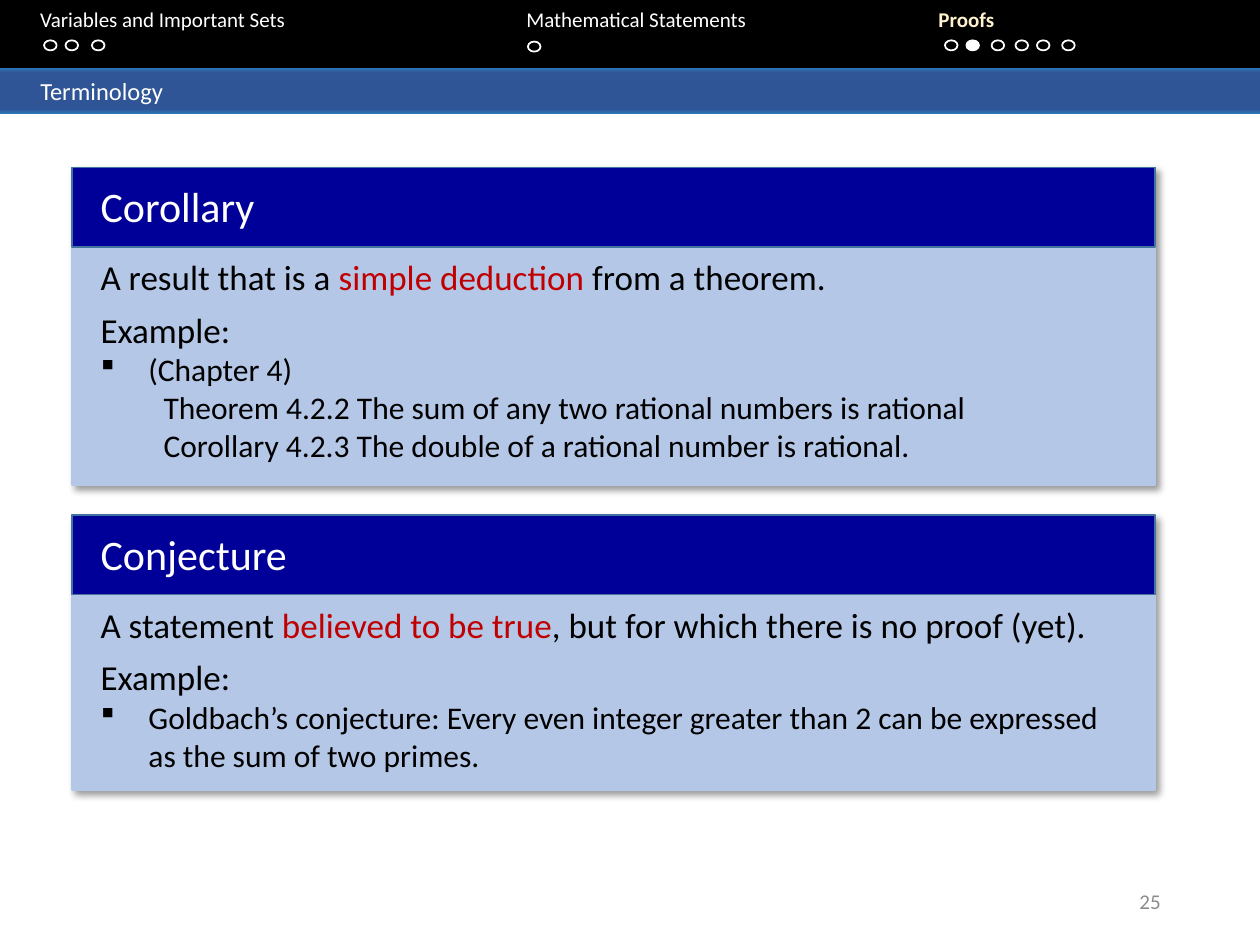
from lxml import etree
from pptx import Presentation
from pptx import util as u
from pptx.dml.color import RGBColor
from pptx.enum import shapes, text
from pptx.oxml import ns

COLS, ROWS = 100, 75
WIDTH, HEIGHT = u.Inches(10), u.Inches(7.5)
COLORS = {
    "black": "000000", "white": "FFFFFF", "cream": "FFF2CC", "red": "C00000",
    "edge": "2E75B6", "band": "2F5597", "gray": "8C8C8C",
    "panel": "B4C7E7", "heading": "000099", "outline": "43739E",
}
SECTIONS = [
    ("Variables and Important Sets", 3.2, 3.2, [3.5, 5.2, 7.3], None),
    ("Mathematical Statements", 41.8, 3.3, [41.9], None),
    ("Proofs", 74.5, 3.2, [75, 76.7, 78.7, 80.6, 82.3, 84.3], 1),
]
COROLLARY = [
    ("lead", [("A result that is a ", "black"), ("simple deduction ", "red"),
              ("from a theorem.", "black")]),
    ("label", [("Example:", "black")]),
    ("bullet", [("(Chapter 4)", "black")]),
    ("detail", [("Theorem 4.2.2 The sum of any two rational numbers is rational", "black")]),
    ("detail", [("Corollary 4.2.3 The double of a rational number is rational.", "black")]),
]
CONJECTURE = [
    ("lead", [("A statement ", "black"), ("believed to be true", "red"),
              (", but for which there is no proof (yet).", "black")]),
    ("label", [("Example:", "black")]),
    ("bullet", [("Goldbach’s conjecture: Every even integer greater than 2 can be "
                 "expressed as the sum of two primes.", "black")]),
]
STYLES = {"lead": (20, 6, 0, 0), "label": (20, 0, 0, 0),
          "bullet": (18, 0, 3.8, -3.8), "detail": (18, 0, 5, 0)}


def across(cols):
    """Turn grid columns into a length."""
    return int(WIDTH * cols / COLS)


def down(rows):
    """Turn grid rows into a length."""
    return int(HEIGHT * rows / ROWS)


def place(box):
    """Turn a grid box into left, top, width and height."""
    left, top, width, height = box
    return across(left), down(top), across(width), down(height)


def color(name):
    """Look up a named colour."""
    return RGBColor.from_string(COLORS[name])


def child(parent, tag, **attributes):
    """Append a drawing element to a parent."""
    return etree.SubElement(parent, ns.qn(tag), attributes)


def add_block(canvas, box, fill=None, line=None, kind=shapes.MSO_SHAPE.RECTANGLE):
    """Add a flat preset shape."""
    block = canvas.add_shape(kind, *place(box))
    block.shadow.inherit = False
    if fill:
        block.fill.solid()
        block.fill.fore_color.rgb = color(fill)
    else:
        block.fill.background()
    if line:
        block.line.color.rgb = color(line)
        block.line.width = u.Pt(1)
    else:
        block.line.fill.background()
    return block


def add_span(para, words, size, name, bold=False):
    """Add one formatted run."""
    span = para.add_run()
    span.text = words
    span.font.name = "Calibri"
    span.font.size = u.Pt(size)
    span.font.color.rgb = color(name)
    span.font.bold = bold


def add_text(canvas, box):
    """Add a wrapping text box and return its frame."""
    frame = canvas.add_textbox(*place(box)).text_frame
    frame.word_wrap = True
    return frame


def add_navigation(canvas, box):
    """Draw the section names and progress dots in the top bar."""
    left, top, width, height = box
    add_block(canvas, (left, top - 0.2, width, height), "black")
    frame = add_text(canvas, (left, top, width, 5))
    para = frame.paragraphs[0]
    tabs = child(para._p.get_or_add_pPr(), "a:tabLst")
    for title, start, dot_row, dots, current in SECTIONS:
        stop = across(start) - frame.margin_left
        child(tabs, "a:tab", pos=str(stop), algn="l")
        active = current is not None
        add_span(para, "\t" + title, 12, "cream" if active else "white", active)
        for index, column in enumerate(dots):
            add_block(canvas, (left + column, top + dot_row, 1, 0.8),
                      "white" if index == current else None, "white",
                      shapes.MSO_SHAPE.OVAL)


def add_title_band(canvas, box, title):
    """Draw the gradient band with the slide title."""
    band = add_block(canvas, box)
    band.fill.gradient()
    band.fill.gradient_angle = 270
    stops = band._element.spPr.find(".//" + ns.qn("a:gsLst"))
    stops.clear()
    for share, name in ((0, "edge"), (11, "band"), (91, "band"), (100, "edge")):
        stop = child(stops, "a:gs", pos=str(share * 1000))
        child(stop, "a:srgbClr", val=COLORS[name])
    frame = band.text_frame
    frame.margin_left = across(3.2)
    frame.vertical_anchor = text.MSO_ANCHOR.MIDDLE
    para = frame.paragraphs[0]
    para.alignment = text.PP_ALIGN.LEFT
    add_span(para, title, 14, "white")


def add_shadow(block):
    """Cast a soft shadow to the lower right."""
    effects = block._element.spPr.find(ns.qn("a:effectLst"))
    shadow = child(effects, "a:outerShdw", blurRad=str(u.Pt(4)), dist=str(u.Pt(3)),
                   dir="2700000", algn="tl", rotWithShape="0")
    child(child(shadow, "a:srgbClr", val=COLORS["black"]), "a:alpha", val="40000")


def add_panel(page, box, title, lines):
    """Draw a definition panel with a heading and body text."""
    left, top, width, height = box
    canvas = page.shapes.add_group_shape().shapes
    add_shadow(add_block(canvas, box, "panel", "panel"))
    add_block(canvas, (left, top, width, 6.3), "heading", "outline")
    heading = add_text(canvas, (left + 1.3, top + 0.55, 46.3, 5))
    add_span(heading.paragraphs[0], title, 24, "white")
    body = add_text(canvas, (left + 1.3, top + 6.5, width - 2.6, height - 7.4))
    for index, (style, spans) in enumerate(lines):
        size, after, margin, indent = STYLES[style]
        para = body.add_paragraph() if index else body.paragraphs[0]
        para.space_after = u.Pt(after)
        properties = para._p.get_or_add_pPr()
        properties.set("marL", str(across(margin)))
        properties.set("indent", str(across(indent)))
        if style == "bullet":
            child(properties, "a:buFont", typeface="Wingdings")
            child(properties, "a:buChar", char="§")
        for words, name in spans:
            add_span(para, words, size, name)


def add_page_number(canvas, box, number):
    """Write the page number at the lower right."""
    frame = add_text(canvas, box)
    frame.vertical_anchor = text.MSO_ANCHOR.MIDDLE
    para = frame.paragraphs[0]
    para.alignment = text.PP_ALIGN.RIGHT
    add_span(para, number, 12, "gray")


def main():
    """Build and save the slide."""
    deck = Presentation()
    deck.slide_width, deck.slide_height = WIDTH, HEIGHT
    page = deck.slides.add_slide(deck.slide_layouts[6])
    add_navigation(page.shapes, (0, 0, COLS, 5.6))
    add_title_band(page.shapes, (0, 5.4, COLS, 3.6), "Terminology")
    add_page_number(page.shapes, (70.6, 69.5, 22.5, 4), "25")
    add_panel(page, (5.7, 13.3, 86, 25.2), "Corollary", COROLLARY)
    add_panel(page, (5.7, 40.9, 86, 21.8), "Conjecture", CONJECTURE)
    deck.save("out.pptx")


if __name__ == "__main__":
    main()
